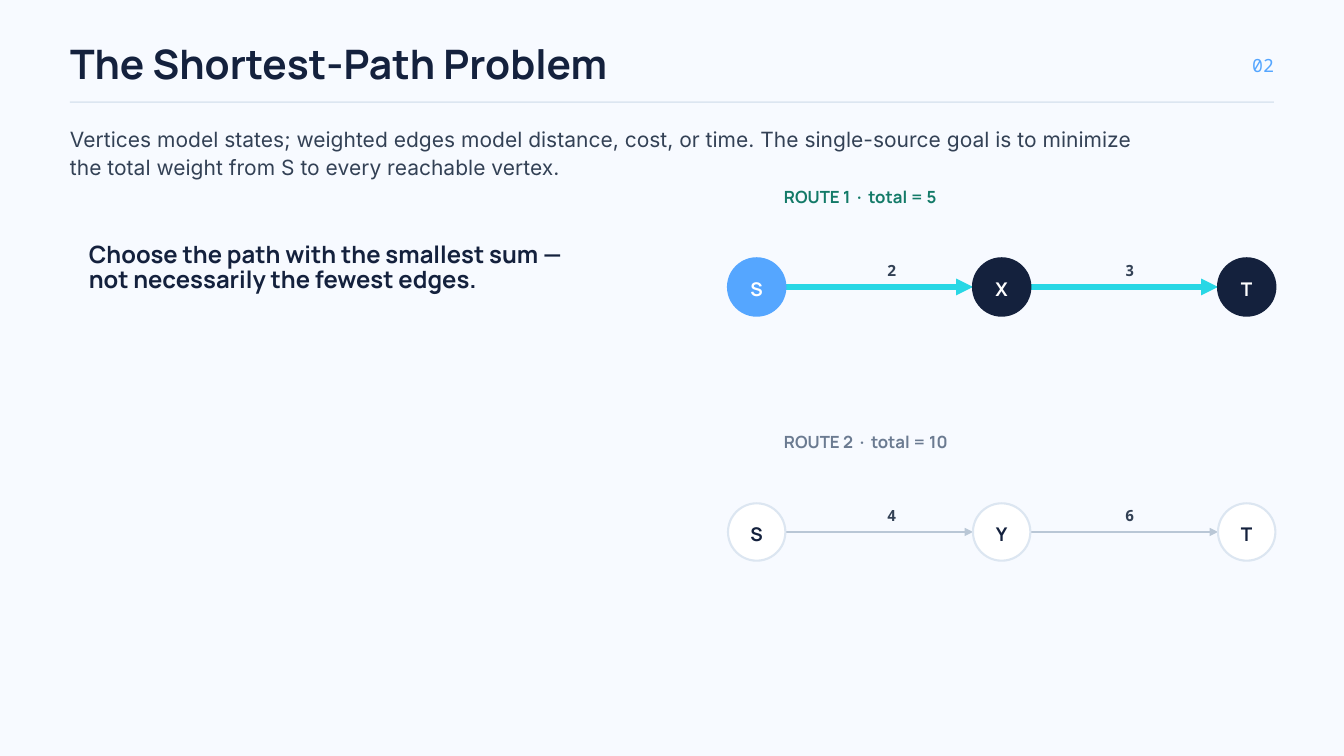
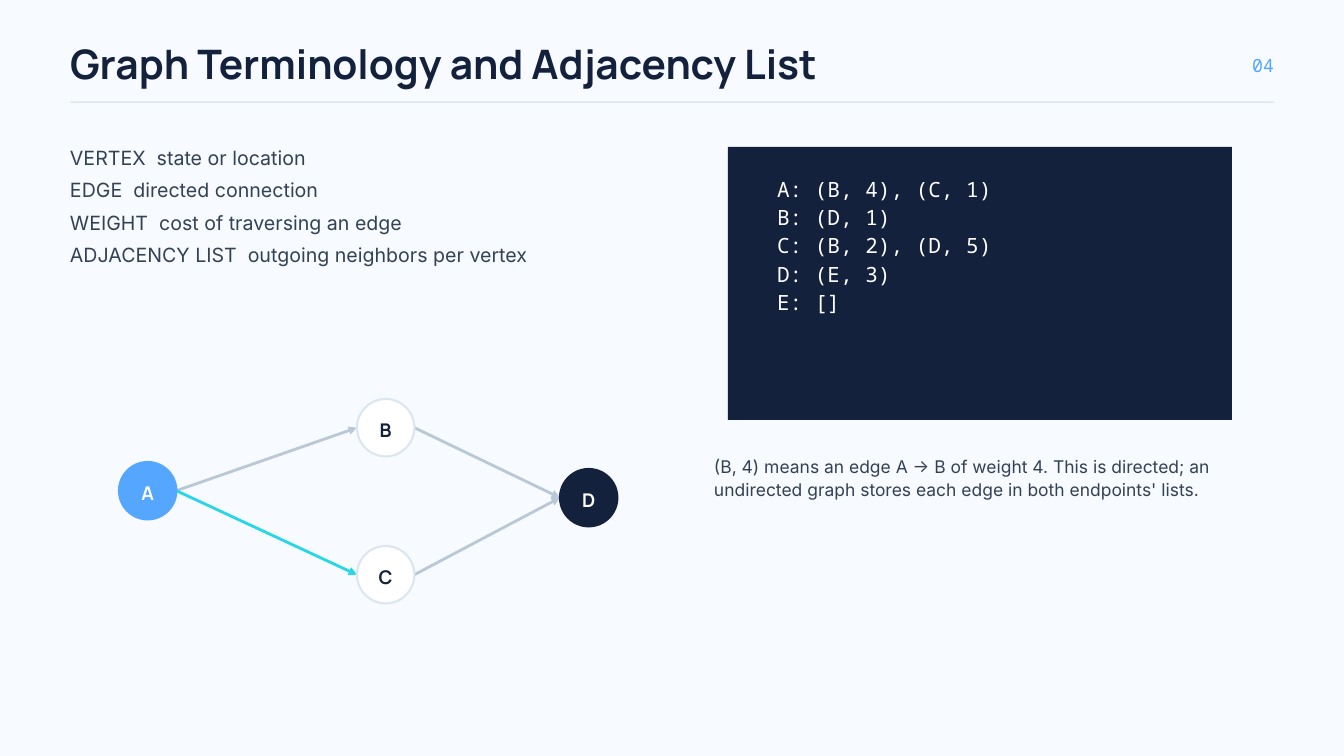
from dataclasses import dataclass, replace

from lxml import etree
from pptx import Presentation
from pptx import util as u
from pptx.dml.color import RGBColor
from pptx.enum import shapes, text
from pptx.oxml import ns

# The slide is a grid of 96 columns by 54 rows; its cells are square.
COLUMNS, ROWS = 96, 54
WIDTH, HEIGHT = u.Inches(20), u.Inches(11.25)
NODE_SIZE = 4.1


@dataclass(frozen=True)
class Style:
    font: str
    size: float
    color: str
    leading: float
    bold: bool = False
    align: text.PP_ALIGN = text.PP_ALIGN.LEFT


@dataclass(frozen=True)
class NodeLook:
    fill: str
    line: str
    label: str


class Theme:
    paper, ink, body = "F7FAFF", "14213D", "334155"
    blue, cyan, white = "55A6FF", "28D7E5", "FFFFFF"
    rule, steel, green, slate = "DCE6F1", "B9C7D6", "137A68", "6B7B91"
    display, sans, mono = "Manrope", "Inter", "Noto Sans Mono"
    center, right = text.PP_ALIGN.CENTER, text.PP_ALIGN.RIGHT

    title = Style(display, 43.5, ink, 45.7, bold=True)
    number = Style(mono, 19.5, blue, 27.3, align=right)
    lead = Style(sans, 22.5, body, 30.4)
    statement = Style(display, 25.5, ink, 26.8, bold=True)
    route = Style(display, 18, green, 18.9, bold=True)
    node = Style(display, 20.25, white, 28.4, bold=True, align=center)
    weight = Style(mono, 16.5, body, 23.1, bold=True, align=center)
    terms = Style(sans, 21, body, 34.6)
    code = Style(mono, 22.5, white, 30.4)
    note = Style(sans, 18.75, body, 25.3)

    source = NodeLook(blue, blue, white)
    solid = NodeLook(ink, ink, white)
    plain = NodeLook(white, rule, ink)


def col(count):
    return u.Emu(round(WIDTH * count / COLUMNS))


def row(count):
    return u.Emu(round(HEIGHT * count / ROWS))


def grid(left, top, width, height):
    return col(left), row(top), col(width), row(height)


def rgb(color):
    return RGBColor.from_string(color)


def write(frame, lines, style, inset=0.0, anchor=text.MSO_ANCHOR.TOP):
    frame.word_wrap = True
    frame.auto_size = text.MSO_AUTO_SIZE.NONE
    frame.vertical_anchor = anchor
    frame.margin_left = frame.margin_right = u.Inches(inset)
    frame.margin_top = frame.margin_bottom = u.Inches(inset)
    for index, line in enumerate(lines):
        para = frame.add_paragraph() if index else frame.paragraphs[0]
        para.alignment = style.align
        para.line_spacing = u.Pt(style.leading)
        para.space_before = para.space_after = u.Pt(0)
        span = para.add_run()
        span.text = line
        span.font.name = style.font
        span.font.size = u.Pt(style.size)
        span.font.bold = style.bold
        span.font.color.rgb = rgb(style.color)


def add_text(page, box, lines, style):
    write(page.shapes.add_textbox(*grid(*box)).text_frame, lines, style)


def add_block(page, box, fill, kind=shapes.MSO_SHAPE.RECTANGLE):
    block = page.shapes.add_shape(kind, *grid(*box))
    block.shadow.inherit = False
    block.fill.solid()
    block.fill.fore_color.rgb = rgb(fill)
    block.line.fill.background()
    return block


def add_node(page, left, top, label, look):
    box = (left, top, NODE_SIZE, NODE_SIZE)
    node = add_block(page, box, look.fill, shapes.MSO_SHAPE.OVAL)
    node.line.color.rgb = rgb(look.line)
    node.line.width = u.Pt(2.25)
    write(node.text_frame, [label], replace(Theme.node, color=look.label),
          inset=0.06, anchor=text.MSO_ANCHOR.MIDDLE)


def add_edge(page, start, end, color, width):
    edge = page.shapes.add_connector(
        shapes.MSO_CONNECTOR.STRAIGHT,
        col(start[0]), row(start[1]), col(end[0]), row(end[1]))
    edge.line.color.rgb = rgb(color)
    edge.line.width = u.Pt(width)
    arrow = etree.SubElement(edge.line._get_or_add_ln(), ns.qn("a:tailEnd"))
    arrow.set("type", "triangle")
    etree.SubElement(edge._element.spPr, ns.qn("a:effectLst"))


def add_graph(page, left, top, nodes, edges):
    """Draw nodes (x, y, label, look) over the edges (start, end, color, width)."""
    middle = top + NODE_SIZE / 2
    for start, end, color, width in edges:
        start_x, start_y = nodes[start][:2]
        end_x, end_y = nodes[end][:2]
        add_edge(page, (left + start_x + NODE_SIZE, middle + start_y),
                 (left + end_x, middle + end_y), color, width)
    for x, y, label, look in nodes:
        add_node(page, left + x, top + y, label, look)


def add_route(page, left, top, caption, color, labels, looks, weights, edge):
    add_text(page, (left + 4, top, 30, 1.4), [caption],
             replace(Theme.route, color=color))
    nodes = [(17.5 * step, 0, label, look)
             for step, (label, look) in enumerate(zip(labels, looks))]
    edges = [(step, step + 1, *edge) for step in range(len(weights))]
    add_graph(page, left, top + 4.9, nodes, edges)
    for step, weight in enumerate(weights):
        add_text(page, (left + 10.25 + 17 * step, top + 4.9, 2.9, 1.45),
                 [weight], Theme.weight)


def add_code(page, left, top, width, height, lines):
    add_block(page, (left, top, width, height), Theme.ink)
    add_text(page, (left + 3.5, top + 1.85, width - 6, 10), lines, Theme.code)


def add_page(deck, title, number):
    """Add a slide with the shared title, page number and rule."""
    page = deck.slides.add_slide(deck.slide_layouts.get_by_name("Title Only"))
    heading = page.shapes.title
    heading.left, heading.top, heading.width, heading.height = grid(5, 3.2, 75, 3.3)
    write(heading.text_frame, [title], Theme.title)
    add_text(page, (87, 3.6, 4, 1.75), [number], Theme.number)
    add_block(page, (5, 7.25, 86, 0.1), Theme.rule)
    return page


def shortest_path_page(deck):
    page = add_page(deck, "The Shortest-Path Problem", "02")
    add_text(page, (5, 8.8, 77, 4), [
        "Vertices model states; weighted edges model distance, cost, or time. "
        "The single-source goal is to minimize the total weight from S to "
        "every reachable vertex."], Theme.lead)
    add_text(page, (6.35, 17.4, 35, 3.7), [
        "Choose the path with the smallest sum — "
        "not necessarily the fewest edges."], Theme.statement)
    add_route(page, 52, 13.55, "ROUTE 1  ·  total = 5", Theme.green, "SXT",
              [Theme.source, Theme.solid, Theme.solid], "23", (Theme.cyan, 6))
    add_route(page, 52, 31.05, "ROUTE 2  ·  total = 10", Theme.slate, "SYT",
              [Theme.plain] * 3, "46", (Theme.steel, 3))


def terminology_page(deck):
    page = add_page(deck, "Graph Terminology and Adjacency List", "04")
    add_text(page, (5, 9.8, 34, 9), [
        "VERTEX  state or location",
        "EDGE  directed connection",
        "WEIGHT  cost of traversing an edge",
        "ADJACENCY LIST  outgoing neighbors per vertex"], Theme.terms)
    add_code(page, 52, 10.5, 36, 19.5, [
        "A: (B, 4), (C, 1)",
        "B: (D, 1)",
        "C: (B, 2), (D, 5)",
        "D: (E, 3)",
        "E: []"])
    add_text(page, (51, 32.35, 38, 3.25), [
        "(B, 4) means an edge A → B of weight 4. This is directed; an "
        "undirected graph stores each edge in both endpoints' lists."], Theme.note)
    nodes = [(0, 4.5, "A", Theme.source), (17, 0, "B", Theme.plain),
             (17, 10.5, "C", Theme.plain), (31.5, 5, "D", Theme.solid)]
    edges = [(0, 1, Theme.steel, 3), (0, 2, Theme.cyan, 3),
             (1, 3, Theme.steel, 3), (2, 3, Theme.steel, 3)]
    add_graph(page, 8.5, 28.5, nodes, edges)


def main():
    deck = Presentation()
    deck.slide_width, deck.slide_height = WIDTH, HEIGHT
    backdrop = deck.slide_master.background.fill
    backdrop.solid()
    backdrop.fore_color.rgb = rgb(Theme.paper)
    shortest_path_page(deck)
    terminology_page(deck)
    deck.save("out.pptx")


if __name__ == "__main__":
    main()
